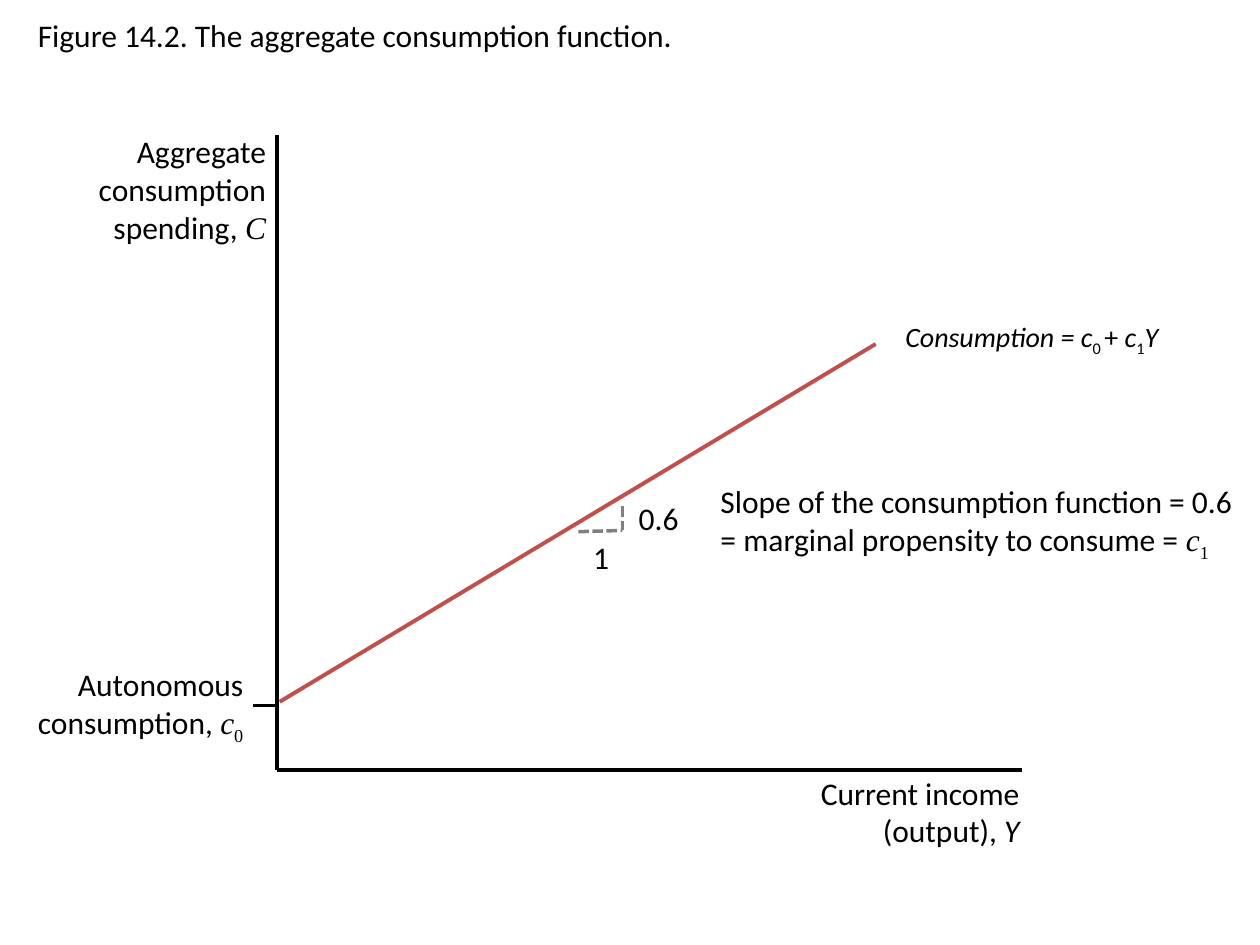
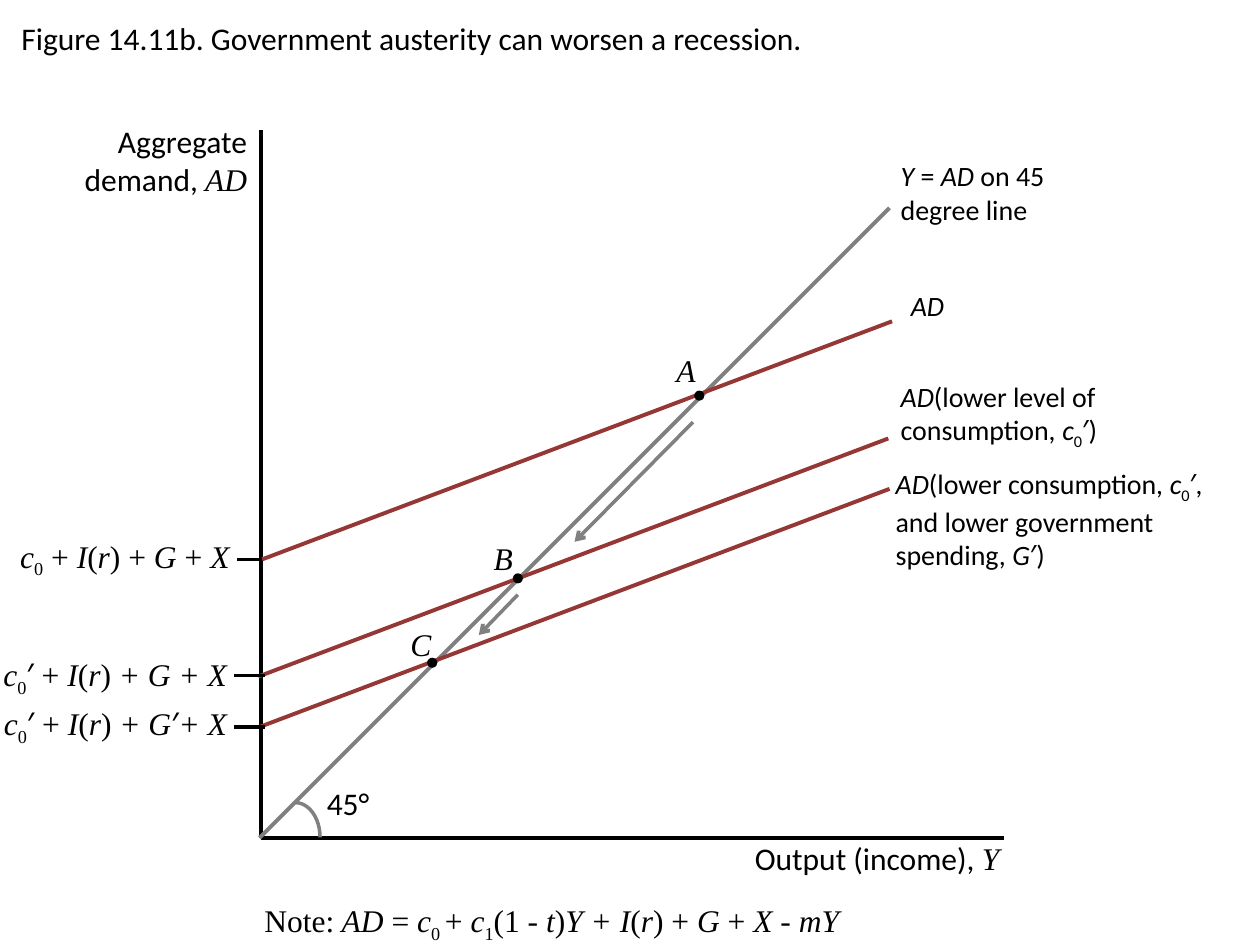
from dataclasses import dataclass

from lxml import etree
from pptx import Presentation
from pptx.dml.color import RGBColor
from pptx.enum.dml import MSO_LINE
from pptx.enum.shapes import MSO_CONNECTOR, MSO_SHAPE
from pptx.enum.text import MSO_ANCHOR, MSO_AUTO_SIZE, PP_ALIGN
from pptx.oxml.ns import qn
from pptx.util import Inches, Pt

LEFT, RIGHT = PP_ALIGN.LEFT, PP_ALIGN.RIGHT
DASHED = MSO_LINE.SQUARE_DOT
STRAIGHT = MSO_CONNECTOR.STRAIGHT
ARC, DOT = MSO_SHAPE.ARC, MSO_SHAPE.OVAL
TITLE_ONLY = 5


@dataclass(frozen=True)
class Theme:
    ink: RGBColor = RGBColor(0x00, 0x00, 0x00)
    grey: RGBColor = RGBColor(0x80, 0x80, 0x80)
    consumption: RGBColor = RGBColor(0xC0, 0x50, 0x4D)
    demand: RGBColor = RGBColor(0x95, 0x37, 0x35)
    sans: str = "Calibri"
    serif: str = "Times New Roman"
    body: int = 18
    curve_label: int = 16
    axis_width: float = 2
    curve_width: float = 2.25
    subscript: str = "-25000"


class Figure:
    """Draws diagram elements on the current slide in one style.

    A paragraph is a string or a list of (text, marks) runs; the marks are
    i italic, s subscript, t serif and c sans.
    """

    def __init__(self, prs, theme):
        self.prs, self.theme, self.slide = prs, theme, None

    def start(self, title, left, top):
        layout = self.prs.slide_layouts[TITLE_ONLY]
        self.slide = self.prs.slides.add_slide(layout)
        heading = self.slide.shapes.title
        heading.left, heading.top = Inches(left), Inches(top)
        heading.width, heading.height = Inches(9.8), Inches(0.4)
        heading.text_frame.vertical_anchor = MSO_ANCHOR.TOP
        self.fill_text(heading.text_frame, [title], LEFT, self.theme.body,
                       self.theme.sans, True)

    def style_font(self, font, size, face):
        font.size, font.name = Pt(size), face
        font.color.rgb = self.theme.ink

    def fill_text(self, frame, paragraphs, align, size, face, wrap):
        frame.word_wrap = wrap
        frame.auto_size = MSO_AUTO_SIZE.SHAPE_TO_FIT_TEXT
        faces = {"t": self.theme.serif, "c": self.theme.sans}
        for index, content in enumerate(paragraphs):
            paragraph = frame.paragraphs[0] if index == 0 else frame.add_paragraph()
            paragraph.alignment = align
            self.style_font(paragraph.font, size, face)
            runs = [(content, "")] if isinstance(content, str) else content
            for text, marks in runs:
                run = paragraph.add_run()
                run.text = text
                run_face = next((faces[m] for m in marks if m in faces), face)
                self.style_font(run.font, size, run_face)
                if "i" in marks:
                    run.font.italic = True
                if "s" in marks:
                    run.font._element.set("baseline", self.theme.subscript)

    def label(self, left, top, width, height, *paragraphs, align=LEFT,
              size=None, face=None, wrap=True):
        box = self.slide.shapes.add_textbox(
            Inches(left), Inches(top), Inches(width), Inches(height))
        self.fill_text(box.text_frame, paragraphs, align,
                       size or self.theme.body, face or self.theme.sans, wrap)

    def line(self, start, end, color=None, width=None, dash=None, arrow=False):
        link = self.slide.shapes.add_connector(
            STRAIGHT, *(Inches(value) for value in (*start, *end)))
        link.line.color.rgb = color or self.theme.ink
        link.line.width = Pt(width or self.theme.axis_width)
        if dash:
            link.line.dash_style = dash
        if arrow:
            tail = etree.SubElement(link.line._get_or_add_ln(), qn("a:tailEnd"))
            tail.set("type", "arrow")
        etree.SubElement(link._element.spPr, qn("a:effectLst"))

    def curve(self, start, end, color):
        self.line(start, end, color, self.theme.curve_width)

    def axes(self, origin, top, right):
        x, y = origin
        self.line((x, top), origin)
        self.line((right, y), origin)

    def angle_arc(self, left, top, width, height):
        arc = self.slide.shapes.add_shape(
            ARC, Inches(left), Inches(top), Inches(width), Inches(height))
        arc.shadow.inherit = False
        arc.fill.background()
        arc.line.color.rgb = self.theme.grey
        arc.line.width = Pt(self.theme.axis_width)

    def point(self, name, center, name_at):
        size = 0.08
        x, y = center
        dot = self.slide.shapes.add_shape(
            DOT, Inches(x - size / 2), Inches(y - size / 2),
            Inches(size), Inches(size))
        dot.shadow.inherit = False
        dot.fill.solid()
        dot.fill.fore_color.rgb = self.theme.ink
        dot.line.fill.background()
        self.label(*name_at, 0.36, 0.4, [(name, "i")],
                   face=self.theme.serif, wrap=False)


def consumption_function(fig):
    theme = fig.theme
    fig.start("Figure 14.2. The aggregate consumption function.", 0.2, 0.08)

    # Axes
    fig.axes((2.2, 6.11), 1.07, 8.11)
    fig.label(0.24, 1, 1.97, 1.01, "Aggregate consumption",
              [("spending, ", ""), ("C", "it")], align=RIGHT)
    fig.label(6.22, 6.09, 1.97, 0.71,
              [("Current income (output), ", ""), ("Y", "i")], align=RIGHT)

    # Autonomous consumption
    fig.line((2.2, 5.6), (2.01, 5.6))
    fig.label(0.06, 5.23, 1.97, 0.71,
              [("Autonomous consumption, ", ""), ("c", "it"), ("0", "st")],
              align=RIGHT)

    # Consumption line
    fig.curve((6.95, 2.73), (2.22, 5.57), theme.consumption)
    fig.label(6.98, 2.49, 2.31, 0.37,
              [("Consumption = c", "i"), ("0 ", "s"), ("+ ", ""), ("c", "i"),
               ("1", "s"), ("Y", "i")],
              align=RIGHT, size=theme.curve_label, wrap=False)

    # Slope triangle
    corner = (4.94, 4.21)
    for start in ((4.59, 4.22), (4.94, 4.02)):
        fig.line(start, corner, theme.grey, dash=DASHED)
    fig.label(5.62, 3.78, 4.3, 0.71, "Slope of the consumption function = 0.6",
              [("= marginal propensity to consume = ", ""), ("c", "it"),
               ("1", "st")])
    fig.label(4.61, 4.22, 0.33, 0.4, "1", wrap=False)
    fig.label(4.97, 3.91, 0.52, 0.4, "0.6", wrap=False)


def austerity(fig):
    theme = fig.theme
    fig.start("Figure 14.11b. Government austerity can worsen a recession.",
              0.07, 0.1)

    # Axes
    fig.axes((2.07, 6.65), 1.03, 7.97)
    fig.label(0.09, 0.92, 1.97, 0.71,
              [("Aggregate demand, ", ""), ("AD", "it")], align=RIGHT)
    fig.label(5.78, 6.61, 2.25, 0.4,
              [("Output (income), ", ""), ("Y", "it")], align=RIGHT)

    # 45 degree line
    fig.curve((7.06, 1.65), (2.06, 6.65), theme.grey)
    fig.label(7.05, 1.21, 1.95, 0.64,
              [("Y", "i"), (" = ", ""), ("AD ", "i"), ("on 45", "")],
              "degree line", size=theme.curve_label)
    fig.angle_arc(2.15, 6.37, 0.39, 0.55)
    fig.label(2.49, 6.17, 0.54, 0.4, "45°", align=RIGHT, wrap=False)

    # Parallel demand lines with their intercept ticks
    span, rise = 5, 1.89
    for x, y, tick_start, tick_end, tick_y in (
            (2.08, 4.44, 2.08, 1.88, 4.44),
            (2.05, 5.37, 2.1, 1.86, 5.36),
            (2.06, 5.77, 2.1, 1.86, 5.77)):
        fig.curve((x + span, y - rise), (x, y), theme.demand)
        fig.line((tick_start, tick_y), (tick_end, tick_y))

    # Intercept formulas
    consumption, lower = [("c", "i"), ("0", "s")], [("′", "c")]
    investment = [(" + ", ""), ("I", "i"), ("(", ""), ("r", "i"), (")", "")]
    spending = [(" + G + X", "i")]
    cut_spending = [(" + G", "i"), ("′", "c"), ("+ X", "i")]
    full_spending = [(" + ", ""), ("G", "i"), (" + ", ""), ("X", "i")]
    for right, top, formula in (
            (1.92, 4.21, consumption + investment + full_spending),
            (1.9, 5.15, consumption + lower + investment + spending),
            (1.9, 5.54, consumption + lower + investment + cut_spending)):
        fig.label(right - 2.27, top, 2.27, 0.4, formula,
                  align=RIGHT, face=theme.serif)

    # Names of the demand lines
    for left, top, width, height, name in (
            (7.13, 2.24, 0.51, 0.37, [[("AD", "i")]]),
            (7.05, 2.96, 1.8, 0.82,
             [[("AD", "i"), ("(lower level of", "")],
              [("consumption", ""), (", c", "i"), ("0", "s"), ("′)", "")]]),
            (7.01, 3.65, 2.75, 1.09,
             [[("AD", "i"), ("(lower consumption", ""), (", c", "i"),
               ("0", "s"), ("′", ""), (",", "i")],
              "and lower government",
              [("spending,", ""), (" G", "i"), ("′)", "")]])):
        fig.label(left, top, width, height, *name,
                  size=theme.curve_label, wrap=False)

    # Movement from A through B to C
    fig.line((5.5, 3.35), (4.56, 4.3), theme.grey, arrow=True)
    fig.line((4.11, 4.72), (3.8, 5.04), theme.grey, arrow=True)
    for name, center, name_at in (
            ("A", (5.55, 3.14), (5.27, 2.74)),
            ("B", (4.11, 4.59), (3.82, 4.23)),
            ("C", (3.43, 5.26), (3.16, 4.91))):
        fig.point(name, center, name_at)

    # Note
    fig.label(2, 7.1, 5.02, 0.4,
              [("Note:", ""), (" AD ", "i"), ("= ", ""), ("c", "i"),
               ("0 ", "s"), ("+ ", ""), ("c", "i"), ("1", "s"),
               ("(1 - ", ""), ("t", "i"), (")", ""), ("Y + I", "i"),
               ("(", ""), ("r", "i"), (") + ", ""), ("G", "i"),
               (" + ", ""), ("X - mY", "i")], face=theme.serif)


def main():
    prs = Presentation()
    prs.slide_width, prs.slide_height = Inches(10), Inches(7.5)
    fig = Figure(prs, Theme())
    consumption_function(fig)
    austerity(fig)
    prs.save("out.pptx")


if __name__ == "__main__":
    main()
